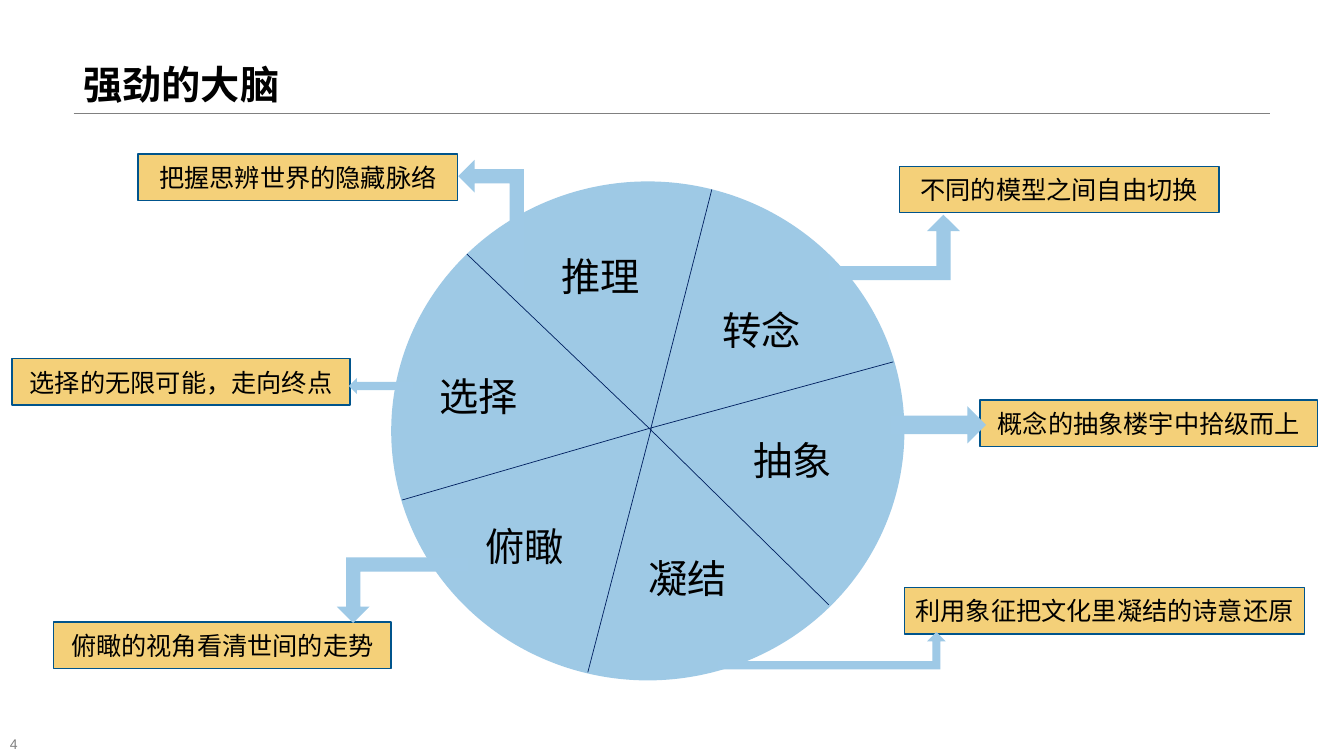
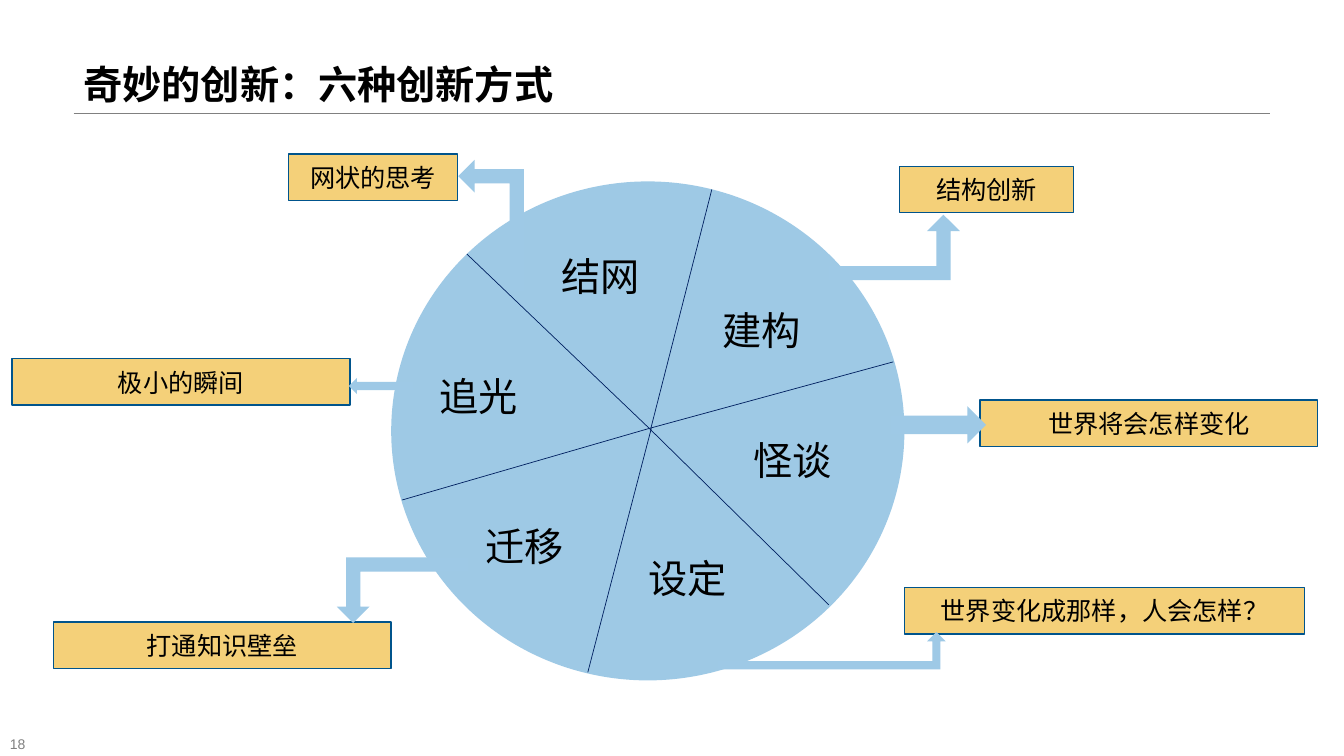
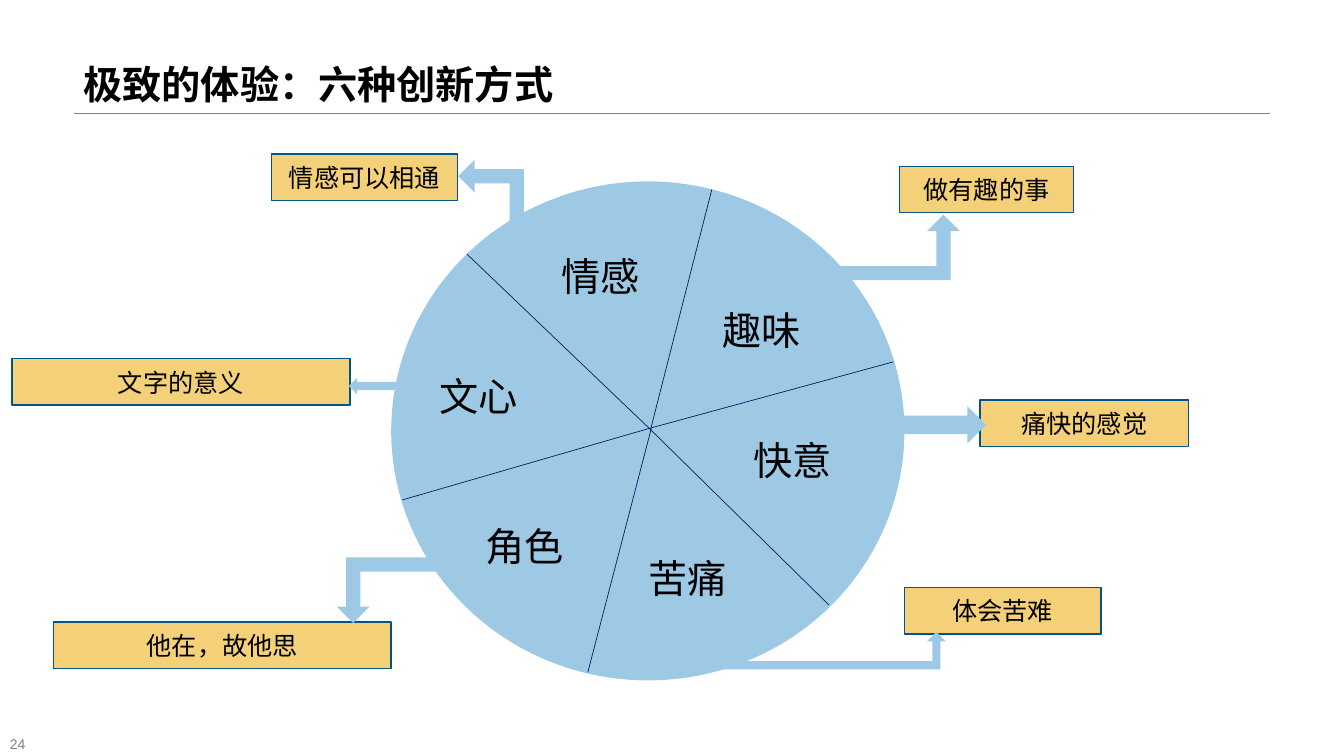
from lxml import etree
from pptx import Presentation
from pptx.dml.color import RGBColor
from pptx.enum.shapes import MSO_CONNECTOR, MSO_SHAPE
from pptx.enum.text import MSO_ANCHOR, MSO_AUTO_SIZE, PP_ALIGN
from pptx.oxml.ns import qn
from pptx.util import Inches, Pt

STRAIGHT = MSO_CONNECTOR.STRAIGHT
RECTANGLE, OVAL = MSO_SHAPE.RECTANGLE, MSO_SHAPE.OVAL
LEFT_ARROW, RIGHT_ARROW = MSO_SHAPE.LEFT_ARROW, MSO_SHAPE.RIGHT_ARROW
BENT_ARROW = MSO_SHAPE.BENT_UP_ARROW
TOP, MIDDLE, BOTTOM = MSO_ANCHOR.TOP, MSO_ANCHOR.MIDDLE, MSO_ANCHOR.BOTTOM
LEFT, CENTER = PP_ALIGN.LEFT, PP_ALIGN.CENTER
FIT_SHAPE = MSO_AUTO_SIZE.SHAPE_TO_FIT_TEXT

FONT = "Arial"
BLACK, GREY, NAVY = "000000", "808080", "002060"
WHEEL_BLUE, ARROW_BLUE = "0072BD", "9EC9E6"
CALLOUT_FILL, CALLOUT_LINE = "F4D079", "00548C"
WHEEL_OPACITY = 38
CALLOUT_HEIGHT = 0.46

# Spokes of the wheel: start and end points
SPOKES = [
    ((6.44, 4.25), (4.63, 2.52)),
    ((6.44, 4.25), (8.86, 3.59)),
    ((6.46, 4.25), (5.83, 6.67)),
    ((6.45, 4.27), (7.06, 1.88)),
    ((6.44, 4.25), (8.22, 6)),
    ((6.44, 4.25), (3.99, 4.96)),
]

# Sectors, clockwise from the top: word position, callout side,
# callout edge nearest the wheel, callout top
SECTORS = [
    ((5.47, 2.45), "left", 4.54, 1.53),
    ((7.07, 2.99), "right", 8.92, 1.65),
    ((7.37, 4.28), "right", 9.72, 3.97),
    ((6.33, 5.45), "right", 8.97, 5.83),
    ((4.72, 5.13), "left", 3.88, 6.17),
    ((4.26, 3.64), "left", 3.47, 3.56),
]

# Arrows: preset, box, rotation
ARROWS = [
    (RIGHT_ARROW, (8.83, 4.03, 0.95, 0.37), 0),
    (BENT_ARROW, (8.22, 2.13, 1.3, 0.65), 0),
    (BENT_ARROW, (7.12, 6.27, 2.26, 0.37), 0),
    (BENT_ARROW, (4.22, 1.91, 1.3, 0.65), 270),
    (BENT_ARROW, (3.34, 5.53, 1.3, 0.65), 180),
    (LEFT_ARROW, (3.46, 3.75, 0.64, 0.16), 0),
]

# Slides: number, title, then word, callout and callout width per sector
SLIDES = [
    ("4", "强劲的大脑", [
        ("推理", "把握思辨世界的隐藏脉络", 3.17),
        ("转念", "不同的模型之间自由切换", 3.17),
        ("抽象", "概念的抽象楼宇中拾级而上", 3.35),
        ("凝结", "利用象征把文化里凝结的诗意还原", 3.97),
        ("俯瞰", "俯瞰的视角看清世间的走势", 3.35),
        ("选择", "选择的无限可能，走向终点", 3.35),
    ]),
    ("18", "奇妙的创新：六种创新方式", [
        ("结网", "网状的思考", 1.68),
        ("建构", "结构创新", 1.73),
        ("怪谈", "世界将会怎样变化", 3.35),
        ("设定", "世界变化成那样，人会怎样？", 3.97),
        ("迁移", "打通知识壁垒", 3.35),
        ("追光", "极小的瞬间", 3.35),
    ]),
    ("24", "极致的体验：六种创新方式", [
        ("情感", "情感可以相通", 1.85),
        ("趣味", "做有趣的事", 1.73),
        ("快意", "痛快的感觉", 2.07),
        ("苦痛", "体会苦难", 1.95),
        ("角色", "他在，故他思", 3.35),
        ("文心", "文字的意义", 3.35),
    ]),
]


def color(value):
    return RGBColor.from_string(value)


class Deck:
    def __init__(self):
        self.presentation = Presentation()
        self.presentation.slide_width = Inches(13.33)
        self.presentation.slide_height = Inches(7.5)
        self.slide = None

    def add_slide(self, number, title):
        layout = self.presentation.slide_layouts[6]
        self.slide = self.presentation.slides.add_slide(layout)
        self.line((0.73, 1.12), (12.6, 1.12), GREY, 0.25)
        self.text((0, 7.27, 3.18, 0.23), number, 10, GREY, anchor=MIDDLE)
        heading = self.text((0.73, 0, 11.87, 1.12), title, 28, bold=True, anchor=BOTTOM)
        heading.text_frame.paragraphs[0].line_spacing = 0.9

    def fill_text(self, shape, text, size, text_color=BLACK, bold=False, align=LEFT, anchor=TOP):
        frame = shape.text_frame
        frame.text = text
        frame.word_wrap = True
        frame.vertical_anchor = anchor
        paragraph = frame.paragraphs[0]
        paragraph.alignment = align
        font = paragraph.runs[0].font
        font.name, font.size, font.bold = FONT, Pt(size), bold
        font.color.rgb = color(text_color)

    def text(self, box, text, size, text_color=BLACK, bold=False, anchor=TOP):
        shape = self.slide.shapes.add_textbox(*map(Inches, box))
        self.fill_text(shape, text, size, text_color, bold, anchor=anchor)
        return shape

    def word(self, position, text):
        frame = self.text((*position, 0.99, 0.57), text, 28).text_frame
        frame.word_wrap = False
        frame.auto_size = FIT_SHAPE

    def line(self, start, end, line_color, width):
        connector = self.slide.shapes.add_connector(STRAIGHT, *map(Inches, (*start, *end)))
        connector.line.color.rgb = color(line_color)
        connector.line.width = Pt(width)
        properties = connector._element.find(qn("p:spPr"))
        etree.SubElement(properties, qn("a:effectLst"))

    def shape(self, preset, box, fill):
        shape = self.slide.shapes.add_shape(preset, *map(Inches, box))
        shape.shadow.inherit = False
        shape.fill.solid()
        shape.fill.fore_color.rgb = color(fill)
        shape.line.fill.background()
        return shape

    def wheel(self):
        disc = self.shape(OVAL, (3.88, 1.8, 5.09, 4.95), WHEEL_BLUE)
        fill_color = disc._element.spPr.find(qn("a:solidFill"))[0]
        etree.SubElement(fill_color, qn("a:alpha"), val=str(WHEEL_OPACITY * 1000))
        for start, end in SPOKES:
            self.line(start, end, NAVY, 0.5)

    def callout(self, side, edge, top, width, text):
        left = edge - width if side == "left" else edge
        shape = self.shape(RECTANGLE, (left, top, width, CALLOUT_HEIGHT), CALLOUT_FILL)
        shape.line.color.rgb = color(CALLOUT_LINE)
        shape.line.width = Pt(1)
        self.fill_text(shape, text, 18, align=CENTER, anchor=MIDDLE)

    def arrow(self, preset, box, rotation):
        shape = self.shape(preset, box, ARROW_BLUE)
        shape.rotation = rotation
        if preset == BENT_ARROW:
            shape.adjustments[0] = 0.216


def main():
    deck = Deck()
    for number, title, entries in SLIDES:
        deck.add_slide(number, title)
        deck.wheel()
        # Words first, then the callouts and the arrows over them
        for (position, *_), (word, *_) in zip(SECTORS, entries):
            deck.word(position, word)
        for (_, side, edge, top), (_, text, width) in zip(SECTORS, entries):
            deck.callout(side, edge, top, width, text)
        for preset, box, rotation in ARROWS:
            deck.arrow(preset, box, rotation)
    deck.presentation.save("out.pptx")


if __name__ == "__main__":
    main()
